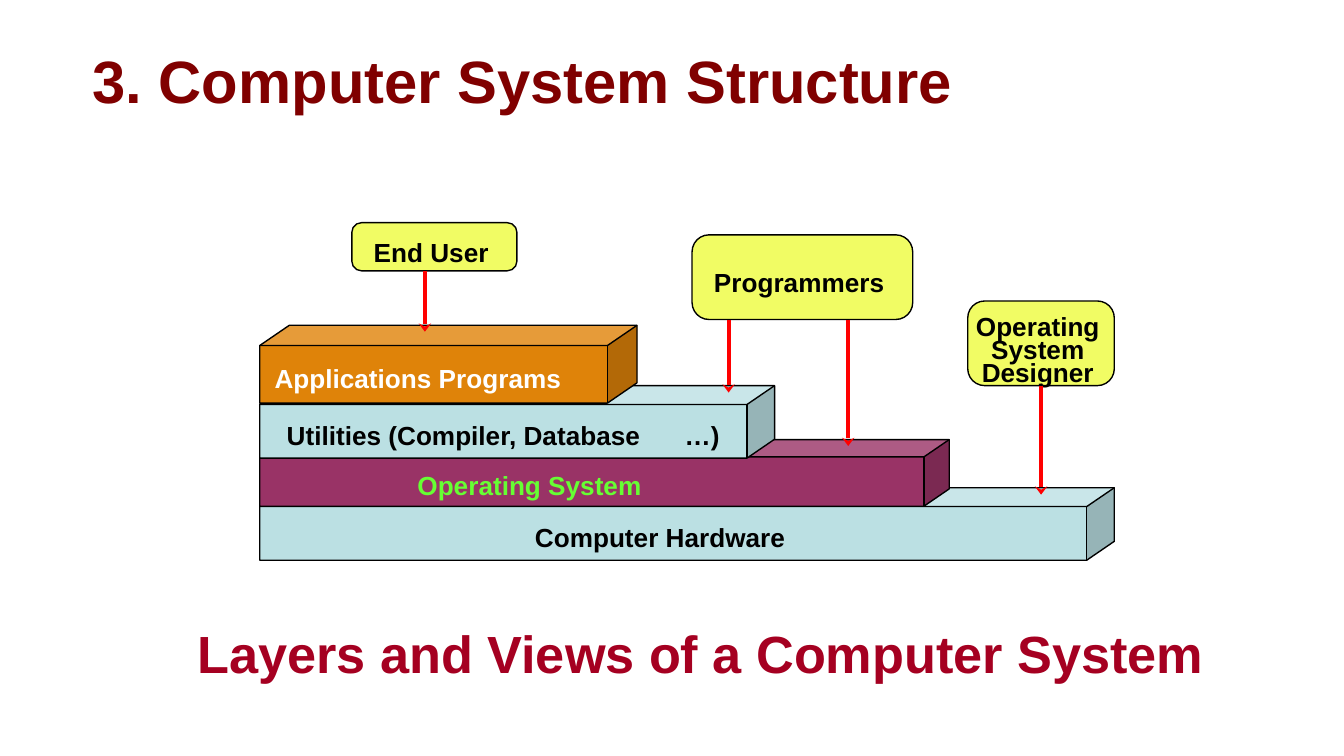
from lxml import etree
from pptx import Presentation
from pptx.dml.color import RGBColor
from pptx.enum.shapes import MSO_CONNECTOR, MSO_SHAPE
from pptx.enum.text import MSO_ANCHOR, PP_ALIGN
from pptx.oxml.ns import qn
from pptx.util import Cm, Pt

ROUNDED = MSO_SHAPE.ROUNDED_RECTANGLE
STRAIGHT = MSO_CONNECTOR.STRAIGHT
TOP, MIDDLE, BOTTOM = MSO_ANCHOR.TOP, MSO_ANCHOR.MIDDLE, MSO_ANCHOR.BOTTOM
LEFT, CENTER = PP_ALIGN.LEFT, PP_ALIGN.CENTER

BLACK, RED, YELLOW = "000000", "FF0000", "F1FC64"
TEAL = ("BBE0E3", "C9E6E9", "96B4B7")
PLUM = ("993366", "AD5B84", "7B2952")
ORANGE = ("DF8309", "E69B39", "B36907")

LAYER_LEFT = 4.91
LAYERS = [
    (9.22, 16.15, 1.37, TEAL, "Computer Hardware", BLACK, 5.2),
    (8.31, 13.03, 1.26, PLUM, "Operating System", "66FF33", 2.98),
    (7.29, 9.73, 1.37, TEAL, "Utilities (Compiler, Database\t…)", BLACK, 0.51),
    (6.15, 7.13, 1.47, ORANGE, "Applications Programs", "FFFFFF", 0.28),
]
CALLOUTS = [
    ((18.29, 5.69, 2.77, 1.6), ["Operating", "System", "Designer"], 0.25, [(1.385, 9.35)]),
    ((13.08, 4.44, 4.17, 1.6), ["Programmers"], 0.5, [(0.69, 7.42), (2.95, 8.43)]),
    ((6.65, 4.21, 3.12, 0.91), ["End User"], 0.21, [(1.38, 6.27)]),
]


def color(value):
    """Turn a hex string into a colour."""
    return RGBColor.from_string(value)


def set_values(target, values):
    """Set each attribute named in a dict."""
    for name, value in values.items():
        setattr(target, name, value)


def paint(shape, fill=None, outline=None):
    """Give a shape a flat fill, a thin outline, both or neither."""
    shape.shadow.inherit = False
    if fill:
        shape.fill.solid()
        shape.fill.fore_color.rgb = color(fill)
    else:
        shape.fill.background()
    if outline:
        shape.line.color.rgb = color(outline)
        shape.line.width = Pt(0.75)
    else:
        shape.line.fill.background()


def write(shape, lines, text_color, size, frame_format, paragraph_format, tab=None):
    """Write bold lines into a shape, one paragraph each."""
    frame = shape.text_frame
    set_values(frame, {"word_wrap": True, **frame_format})
    for index, line in enumerate(lines):
        paragraph = frame.add_paragraph() if index else frame.paragraphs[0]
        set_values(paragraph, paragraph_format)
        if tab:
            properties = paragraph._p.get_or_add_pPr()
            tabs = etree.SubElement(properties, qn("a:tabLst"))
            etree.SubElement(tabs, qn("a:tab"), pos=str(Cm(tab)), algn="l")
        set_values(paragraph.font, {"name": "Arial", "size": Pt(size), "bold": True})
        paragraph.font.color.rgb = color(text_color)
        paragraph.text = line


def add_heading(slide, box, text, text_color, size, alignment):
    """Add a heading that stands on the bottom of its box."""
    shape = slide.shapes.add_textbox(*map(Cm, box))
    write(shape, [text], text_color, size, {"vertical_anchor": BOTTOM}, {"alignment": alignment})


def add_polygon(slide, points, fill=None, outline=None, close=True):
    """Add a path through points in centimetres."""
    start, *others = [(Cm(x), Cm(y)) for x, y in points]
    builder = slide.shapes.build_freeform(*start)
    builder.add_line_segments(others, close=close)
    shape = builder.convert_to_shape()
    paint(shape, fill, outline)
    return shape


def add_line(slide, start, end, line_color, width):
    """Add a straight connector between two points in centimetres."""
    line = slide.shapes.add_connector(STRAIGHT, *map(Cm, (*start, *end)))
    line.line.color.rgb = color(line_color)
    line.line.width = Pt(width)
    etree.SubElement(line._element.spPr, qn("a:effectLst"))
    return line


def add_layer(slide, box, fills, label, label_color, indent):
    """Add a labelled slab with a front, a top and a right side."""
    left, top, width, height = box
    depth, rise = 0.38 * height, 0.26 * height
    right, bottom = left + width, top + height
    edge, shelf = right - depth, top + rise
    back_left, back_right = (left + depth, top), (right, top)
    front_left, front_right = (left, shelf), (edge, shelf)
    base_left, base_right, base_back = (left, bottom), (edge, bottom), (right, bottom - rise)
    body = [back_left, front_left, base_left, base_right, base_back, back_right]
    faces = [
        body,
        [front_left, front_right, back_right, back_left],
        [front_right, back_right, base_back, base_right],
    ]
    for face, fill in zip(faces, fills):
        add_polygon(slide, face, fill=fill)
    outline = add_polygon(slide, body, outline=BLACK)
    add_polygon(slide, [front_left, front_right, back_right], outline=BLACK, close=False)
    add_line(slide, front_right, base_right, BLACK, 0.75)
    frame_format = {"margin_left": Cm(indent), "margin_right": 0, "margin_top": Cm(rise + 0.14),
                    "margin_bottom": 0, "vertical_anchor": MIDDLE}
    write(outline, [label], label_color, 14, frame_format, {"alignment": LEFT},
          tab=7.52 if "\t" in label else None)


def add_arrow(slide, x, start, end):
    """Add a red arrow pointing straight down."""
    arrow = add_line(slide, (x, start), (x, end), RED, 2.25)
    head = {"type": "stealth", "w": "med", "len": "sm"}
    etree.SubElement(arrow.line._get_or_add_ln(), qn("a:tailEnd"), head)
    return arrow


def add_callout(slide, box, lines, inset, targets):
    """Add a rounded label with arrows down to the layers it views."""
    left, top, width, height = box
    callout = slide.shapes.add_shape(ROUNDED, *map(Cm, box))
    callout.adjustments[0] = 0.2
    paint(callout, YELLOW, BLACK)
    frame_format = {"margin_left": 0, "margin_right": Cm(0.12), "margin_top": Cm(inset),
                    "margin_bottom": 0, "vertical_anchor": TOP}
    paragraph_format = {"alignment": CENTER}
    if len(lines) > 1:
        paragraph_format["line_spacing"] = Pt(12.2)
    write(callout, lines, BLACK, 14, frame_format, paragraph_format)
    for offset, end in targets:
        arrow = add_arrow(slide, left + offset, top + height, end)
        if offset == width / 2:
            arrow.begin_connect(callout, 2)


def main():
    """Build the slide and save it."""
    presentation = Presentation()
    presentation.slide_width, presentation.slide_height = Cm(25.4), Cm(14.29)
    slide = presentation.slides.add_slide(presentation.slide_layouts[6])
    add_heading(slide, (1.5, -0.24, 22.23, 2.54), "3. Computer System Structure", "800000", 32, LEFT)
    add_heading(slide, (2.3, 12.24, 21.87, 0.81), "Layers and Views of a Computer System",
                "A50021", 28, CENTER)
    for top, width, height, *style in LAYERS:
        add_layer(slide, (LAYER_LEFT, top, width, height), *style)
    for callout in CALLOUTS:
        add_callout(slide, *callout)
    presentation.save("out.pptx")


if __name__ == "__main__":
    main()
